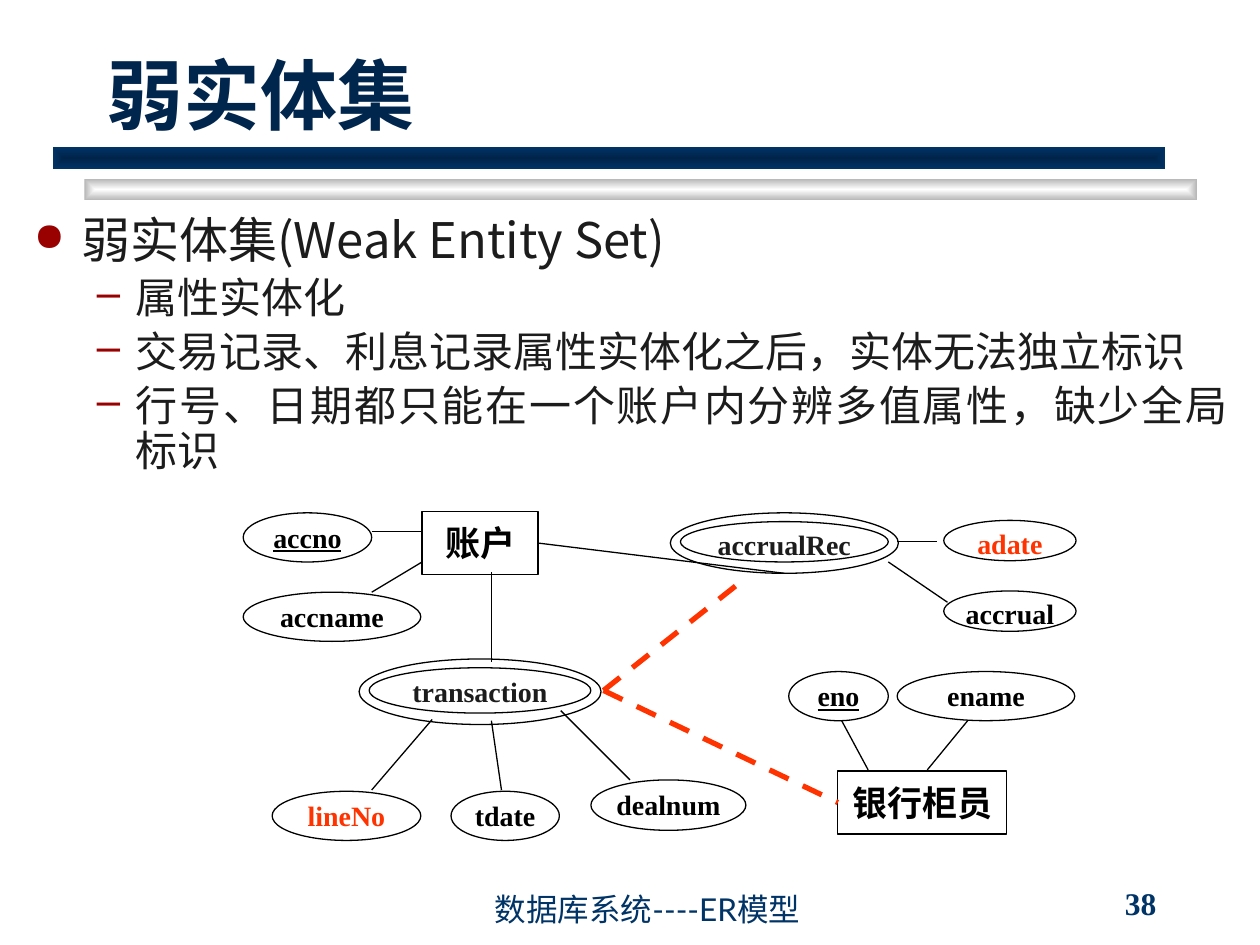
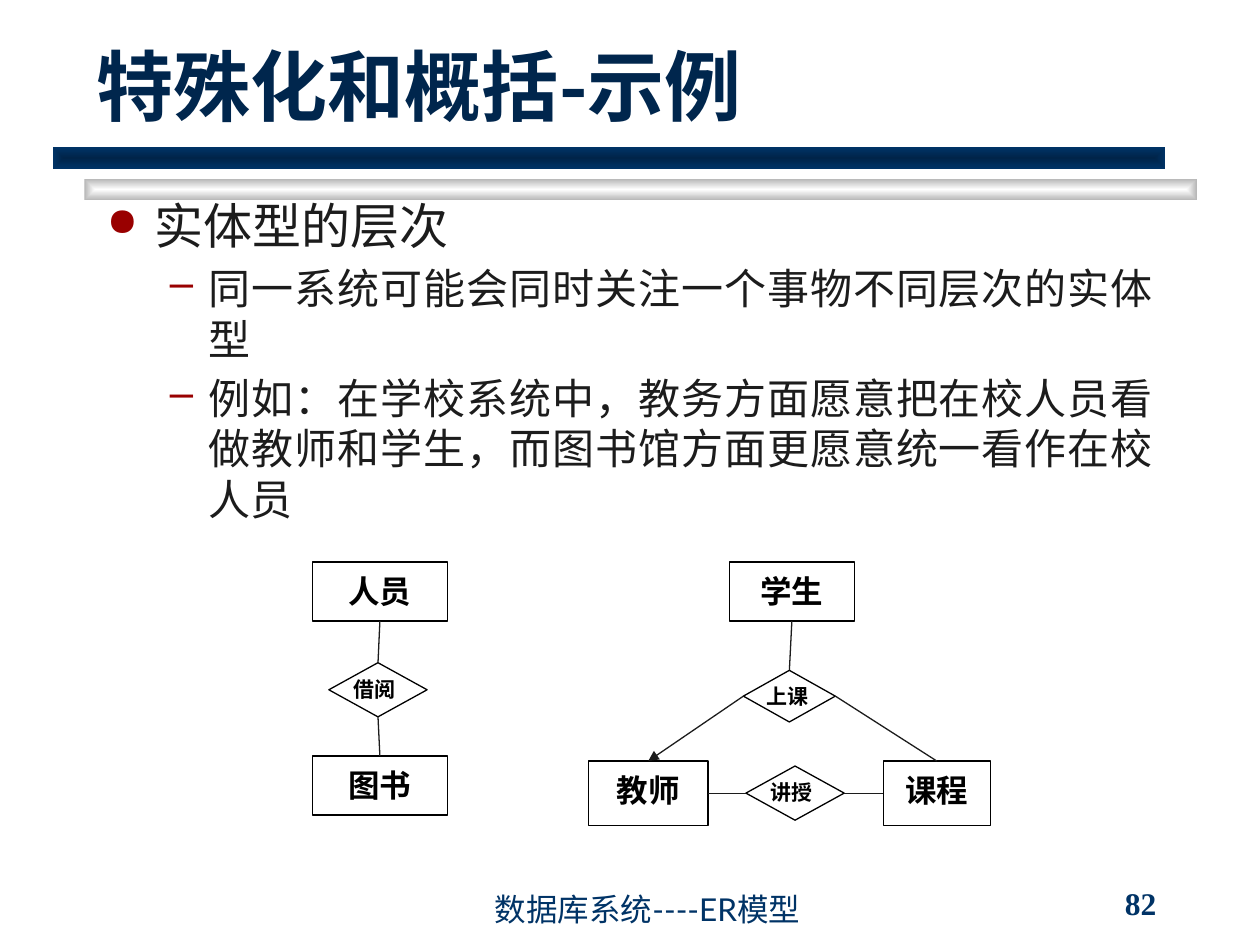
from lxml.etree import SubElement
from pptx import Presentation
from pptx.dml.color import RGBColor
from pptx.enum.dml import MSO_LINE
from pptx.enum.shapes import MSO_CONNECTOR, MSO_SHAPE
from pptx.enum.text import MSO_ANCHOR, PP_ALIGN
from pptx.oxml.ns import qn
from pptx.util import Inches, Pt

NAVY = RGBColor(0x00, 0x33, 0x66)
DEEP_NAVY = RGBColor(0x00, 0x24, 0x49)
TITLE_NAVY = RGBColor(0x00, 0x26, 0x4D)
SILVER = RGBColor(0xB6, 0xB6, 0xB6)
WHITE = RGBColor(0xFF, 0xFF, 0xFF)
BLACK = RGBColor(0x00, 0x00, 0x00)
INK = RGBColor(0x1C, 0x1C, 0x1C)
BULLET_RED = RGBColor(0x99, 0x00, 0x00)
ORANGE = RGBColor(0xFF, 0x33, 0x00)

SANS = "Lato"
SANS_JP = "Noto Sans CJK JP"
SANS_SC = "Noto Sans CJK SC"
SERIF = "Times New Roman"
FOOTER = "数据库系统----ER模型"


def add_run(paragraph, text, size, font_name, color, bold=False, underline=False):
    run = paragraph.add_run()
    run.text = text
    font = run.font
    font.size, font.name, font.bold = Pt(size), font_name, bold
    font.color.rgb = color
    if underline:
        font.underline = True
    # Chinese text takes its line height from the sans face
    SubElement(font._element, qn("a:ea"), typeface=SANS)


def add_text_box(slide, box, anchor=MSO_ANCHOR.TOP):
    frame = slide.shapes.add_textbox(*map(Inches, box)).text_frame
    frame.word_wrap = True
    frame.vertical_anchor = anchor
    return frame


def add_band(slide, left, top, center, edge):
    """Draw a bar shaded from its center line out to its edges."""
    band = slide.shapes.add_shape(
        MSO_SHAPE.RECTANGLE, *map(Inches, (left, top, 8.83, 0.17)))
    band.shadow.inherit = False
    band.line.fill.background()
    band.fill.gradient()
    for stop, color in zip(band.fill.gradient_stops, (center, edge)):
        stop.color.rgb = color
    gradient = band._element.spPr.find(qn("a:gradFill"))
    gradient.remove(gradient.find(qn("a:lin")))
    shade = SubElement(gradient, qn("a:path"), path="shape")
    SubElement(shade, qn("a:fillToRect"),
               **dict.fromkeys("ltrb", "50000"))


def add_frame(presentation, title, title_box, title_font, number):
    """Add a slide with its title, bands, footer and number."""
    slide = presentation.slides.add_slide(presentation.slide_layouts[6])
    add_band(slide, 0.67, 1.42, WHITE, SILVER)
    add_band(slide, 0.42, 1.17, DEEP_NAVY, NAVY)
    frame = add_text_box(slide, title_box, MSO_ANCHOR.BOTTOM)
    add_run(frame.paragraphs[0], title, 44, title_font, TITLE_NAVY, bold=True)
    frame = add_text_box(slide, (3.83, 7.08, 4.08, 0.33), MSO_ANCHOR.BOTTOM)
    add_run(frame.paragraphs[0], FOOTER, 18, SANS, NAVY)
    frame = add_text_box(slide, (8.83, 7, 1.08, 0.33), MSO_ANCHOR.MIDDLE)
    add_run(frame.paragraphs[0], number, 18, SERIF, NAVY, bold=True)
    return slide


def set_bullet(paragraph, character, margin, hanging, percent):
    properties = paragraph._p.get_or_add_pPr()
    properties.set("marL", str(Inches(margin)))
    properties.set("indent", str(-Inches(hanging)))
    color = SubElement(properties, qn("a:buClr"))
    SubElement(color, qn("a:srgbClr"), val=str(BULLET_RED))
    SubElement(properties, qn("a:buSzPct"), val=str(percent * 1000))
    SubElement(properties, qn("a:buChar"), char=character)


def add_outline(slide, box, heading, points, point_font,
                heading_spacing=1.0, point_spacing=1.0):
    frame = add_text_box(slide, box)
    paragraph = frame.paragraphs[0]
    set_bullet(paragraph, "●", 0.38, 0.38, 80)
    paragraph.alignment = PP_ALIGN.JUSTIFY
    paragraph.line_spacing = heading_spacing
    add_run(paragraph, heading, 28, SANS_JP, INK)
    for point in points:
        paragraph = frame.add_paragraph()
        paragraph.level = 1
        set_bullet(paragraph, "–", 0.81, 0.31, 100)
        paragraph.alignment = PP_ALIGN.JUSTIFY
        paragraph.line_spacing = point_spacing
        paragraph.space_before = Pt(5)
        add_run(paragraph, point, 24, point_font, INK)


def add_node(slide, kind, box, text="", size=16, color=BLACK, underline=False,
             inset_top=0, inset_bottom=0, alignment=PP_ALIGN.CENTER):
    node = slide.shapes.add_shape(kind, *map(Inches, box))
    node.shadow.inherit = False
    node.fill.solid()
    node.fill.fore_color.rgb = WHITE
    node.line.color.rgb = BLACK
    node.line.width = Pt(0.75)
    frame = node.text_frame
    frame.word_wrap = True
    frame.vertical_anchor = MSO_ANCHOR.TOP
    frame.margin_left = frame.margin_right = 0
    frame.margin_top, frame.margin_bottom = Inches(inset_top), Inches(inset_bottom)
    if text:
        paragraph = frame.paragraphs[0]
        paragraph.alignment = alignment
        add_run(paragraph, text, size, SERIF, color, True, underline)
    return node


def add_entity(slide, box, text, size):
    return add_node(slide, MSO_SHAPE.RECTANGLE, box, text, size,
                    inset_top=0.08, inset_bottom=0.05)


def add_attribute(slide, box, text, color=BLACK, key=False):
    return add_node(slide, MSO_SHAPE.OVAL, box, text, color=color, underline=key)


def add_weak_entity(slide, box, text):
    """Draw a double ellipse and return the outer one."""
    left, top, width, height = box
    outer = add_node(slide, MSO_SHAPE.OVAL, box)
    inner_box = left + 0.08, top + 0.07, width - 0.16, height - 0.16
    add_attribute(slide, inner_box, text, INK)
    return outer


def add_relationship(slide, box, text):
    return add_node(slide, MSO_SHAPE.FLOWCHART_DECISION, box, text, 12,
                    alignment=PP_ALIGN.LEFT)


def add_line(slide, start, end, color=BLACK, width=0.75):
    line = slide.shapes.add_connector(
        MSO_CONNECTOR.STRAIGHT, *map(Inches, (*start, *end)))
    SubElement(line._element.spPr, qn("a:effectLst"))
    line.line.color.rgb = color
    line.line.width = Pt(width)
    return line


def join(slide, start, start_site, end, end_site, color=INK):
    line = add_line(slide, (0, 0), (1, 1), color)
    line.begin_connect(start, start_site)
    line.end_connect(end, end_site)
    return line


def add_dashed_line(slide, start, end):
    line = add_line(slide, start, end, ORANGE, 3)
    line.line.dash_style = MSO_LINE.DASH
    return line


def build_weak_entity_slide(presentation):
    slide = add_frame(presentation, "弱实体集", (0.75, 0.25, 8.52, 0.91), SANS, "38")
    add_outline(slide, (0.17, 1.58, 9.67, 2.75), "弱实体集(Weak Entity Set)", [
        "属性实体化",
        "交易记录、利息记录属性实体化之后，实体无法独立标识",
        "行号、日期都只能在一个账户内分辨多值属性，缺少全局标识",
    ], SANS, heading_spacing=Pt(36), point_spacing=0.9)

    account = add_entity(slide, (3.35, 4.06, 0.92, 0.5), "账户", 20)
    teller = add_entity(slide, (6.65, 6.12, 1.34, 0.5), "银行柜员", 20)
    add_weak_entity(slide, (2.85, 5.23, 1.92, 0.52), "transaction")
    accrual_record = add_weak_entity(slide, (5.32, 4.07, 1.81, 0.48), "accrualRec")

    for box, text, color, key in (
        ((1.93, 4.07, 1.02, 0.39), "accno", BLACK, True),
        ((1.93, 4.7, 1.41, 0.39), "accname", BLACK, False),
        ((2.16, 6.28, 1.18, 0.39), "lineNo", ORANGE, False),
        ((3.58, 6.28, 0.86, 0.39), "tdate", BLACK, False),
        ((4.69, 6.19, 1.23, 0.4), "dealnum", BLACK, False),
        ((7.49, 4.13, 1.05, 0.32), "adate", ORANGE, False),
        ((7.49, 4.69, 1.05, 0.32), "accrual", BLACK, False),
        ((6.26, 5.33, 0.79, 0.39), "eno", BLACK, True),
        ((7.12, 5.33, 1.41, 0.39), "ename", BLACK, False),
    ):
        add_attribute(slide, box, text, color, key)

    for start, end in (
        ((2.95, 4.22), (3.35, 4.22)),
        ((3.35, 4.46), (2.95, 4.7)),
        ((3.9, 4.54), (3.9, 5.25)),
        ((3.43, 5.71), (2.95, 6.27)),
        ((3.9, 5.72), (3.98, 6.27)),
        ((4.45, 5.64), (5, 6.19)),
        ((7.12, 4.3), (7.44, 4.3)),
        ((7.05, 4.46), (7.52, 4.78)),
        ((6.68, 5.72), (6.89, 6.11)),
        ((7.68, 5.72), (7.36, 6.11)),
    ):
        add_line(slide, start, end)
    join(slide, account, 3, accrual_record, 2, BLACK)

    transaction_tip = 4.79, 5.48
    add_dashed_line(slide, transaction_tip, (6.65, 6.37)).end_connect(teller, 1)
    add_dashed_line(slide, transaction_tip, (5.89, 4.61))


def build_specialization_slide(presentation):
    slide = add_frame(presentation, "特殊化和概括-示例",
                      (0.67, 0.42, 8.5, 0.67), SANS_SC, "82")
    add_outline(slide, (0.75, 1.5, 8.5, 5.33), "实体型的层次", [
        "同一系统可能会同时关注一个事物不同层次的实体型",
        "例如：在学校系统中，教务方面愿意把在校人员看做教师和学生，"
        "而图书馆方面更愿意统一看作在校人员",
    ], SANS_JP)

    person = add_entity(slide, (2.48, 4.46, 1.07, 0.47), "人员", 18)
    book = add_entity(slide, (2.48, 6, 1.07, 0.47), "图书", 18)
    student = add_entity(slide, (5.79, 4.46, 0.99, 0.47), "学生", 18)
    teacher = add_entity(slide, (4.67, 6.04, 0.95, 0.51), "教师", 18)
    course = add_entity(slide, (7.01, 6.04, 0.85, 0.51), "课程", 18)
    borrows = add_relationship(slide, (2.61, 5.26, 0.78, 0.43), "借阅")
    attends = add_relationship(slide, (5.9, 5.32, 0.73, 0.41), "上课")
    teaches = add_relationship(slide, (5.92, 6.08, 0.78, 0.43), "讲授")

    join(slide, borrows, 0, person, 2)
    join(slide, borrows, 2, book, 0)
    join(slide, attends, 0, student, 2)
    join(slide, attends, 3, course, 0)
    join(slide, teaches, 1, teacher, 3)
    join(slide, teaches, 3, course, 1)
    arrow = join(slide, attends, 1, teacher, 0)
    SubElement(arrow.line._get_or_add_ln(), qn("a:tailEnd"), type="triangle")


def main():
    presentation = Presentation()
    presentation.slide_width, presentation.slide_height = Inches(10), Inches(7.5)
    build_weak_entity_slide(presentation)
    build_specialization_slide(presentation)
    presentation.save("out.pptx")


if __name__ == "__main__":
    main()
